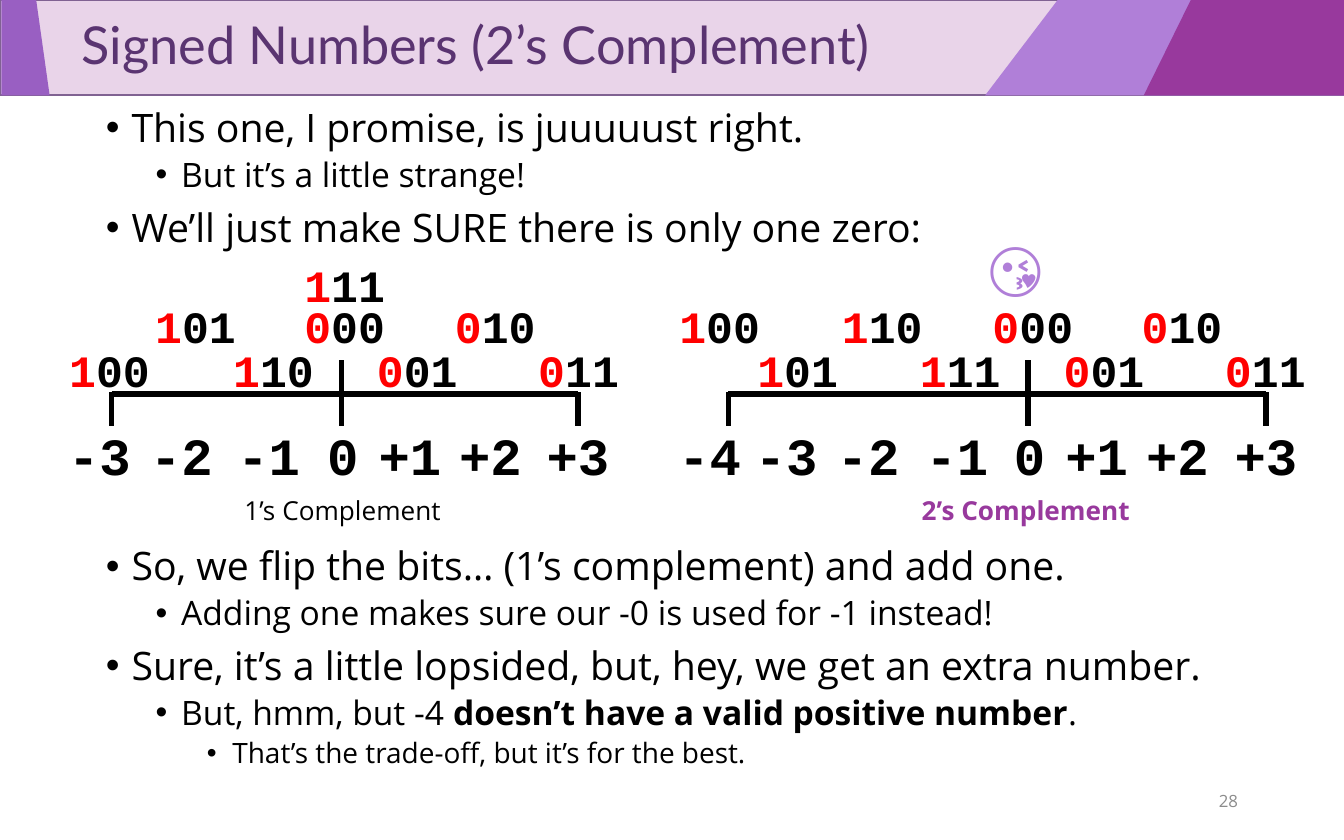
"""Build the slide about signed numbers in two's complement."""
from lxml import etree
from pptx import Presentation
from pptx.dml.color import RGBColor
from pptx.enum.shapes import MSO_CONNECTOR, MSO_SHAPE
from pptx.enum.text import MSO_ANCHOR, PP_ALIGN
from pptx.oxml.ns import qn
from pptx.util import Pt

PX = 9144
LEFT, CENTER, RIGHT = PP_ALIGN.LEFT, PP_ALIGN.CENTER, PP_ALIGN.RIGHT
TOP, MIDDLE = MSO_ANCHOR.TOP, MSO_ANCHOR.MIDDLE
STRAIGHT, RECTANGLE = MSO_CONNECTOR.STRAIGHT, MSO_SHAPE.RECTANGLE

BLACK = RGBColor(0x00, 0x00, 0x00)
RED = RGBColor(0xFF, 0x00, 0x00)
GRAY = RGBColor(0x8C, 0x8C, 0x8C)
PALE = RGBColor(0xE9, 0xD4, 0xE9)
OUTLINE = RGBColor(0x80, 0x62, 0x92)
LILAC = RGBColor(0xB0, 0x7F, 0xD8)
VIOLET = RGBColor(0x99, 0x5F, 0xC2)
PURPLE = RGBColor(0x98, 0x39, 0x9D)
TITLE_COLOR = RGBColor(0x5A, 0x34, 0x71)

SANS, MONO, HEADING = "Open Sans", "Courier New", "Lato"

BANDS = [
    (LILAC, [(787, 0), (1000, 0), (1000, 71), (733, 71)]),
    (VIOLET, [(1, 0), (27, 0), (37, 71), (1, 71)]),
    (PURPLE, [(886, 0), (1000, 0), (1000, 71), (851, 71)]),
]

LEVELS = [(21, 7.5, 19), (18, 3.8, 56), (15, 3.8, 94)]
BULLET_HANG = 19
BODY = [
    (76, 130, [
        (0, [("This one, I promise, is juuuuust right.", False)]),
        (1, [("But it’s a little strange!", False)]),
        (0, [("We’ll just make SURE there is only one zero:", False)]),
    ]),
    (402, 216, [
        (0, [("So, we flip the bits… (1’s complement) and add one.", False)]),
        (1, [("Adding one makes sure our -0 is used for -1 instead!", False)]),
        (0, [("Sure, it’s a little lopsided, but, hey, we get an extra number.", False)]),
        (1, [("But, hmm, but -4 ", False),
             ("doesn’t have a valid positive number", True), (".", False)]),
        (2, [("That’s the trade-off, but it’s for the best.", False)]),
    ]),
]

BITS_SIZE, VALUE_SIZE = (117, 50), (68, 57)
ROWS = (250, 217)
VALUE_TOP = 310
NUMBER_LINES = [
    {"axis": (83, 254, 430), "first_row": 0, "marks": [
        ("100", 23, "-3", 40), ("101", 87, "-2", 101), ("110", 145, "-1", 166),
        ("000", 198, "0", 221), ("001", 252, "+1", 271), ("010", 310, "+2", 331),
        ("011", 372, "+3", 396)]},
    {"axis": (542, 765, 942), "first_row": 1, "marks": [
        ("100", 477, "-4", 494), ("101", 535, "-3", 551), ("110", 598, "-2", 612),
        ("111", 656, "-1", 678), ("000", 710, "0", 732), ("001", 763, "+1", 782),
        ("010", 821, "+2", 842), ("011", 883, "+3", 908)]},
]
NEGATIVE_ZERO = ("111", 198, 187)

LABELS = [
    ("1’s Complement", (172, 363, 168, 34), 14, BLACK, False, LEFT, TOP),
    ("2’s Complement", (676, 363, 177, 34), 14, PURPLE, True, LEFT, TOP),
    ("😘", (726, 166, 82, 64), 32, LILAC, False, LEFT, TOP),
    ("28", (706, 579, 225, 33), 9, GRAY, False, RIGHT, MIDDLE),
]


def add_box(slide, place, anchor=TOP, wrap=False):
    box = slide.shapes.add_textbox(*(length * PX for length in place))
    box.text_frame.word_wrap = wrap
    box.text_frame.vertical_anchor = anchor
    return box.text_frame


def add_run(paragraph, text, size, color, bold=False, font=SANS):
    run = paragraph.add_run()
    run.text = text
    run.font.name = font
    run.font.size = Pt(size)
    run.font.bold = bold
    run.font.color.rgb = color


def indent(paragraph, margin, hang=0):
    properties = paragraph._p.get_or_add_pPr()
    properties.set("marL", str(margin * PX))
    properties.set("indent", str(-hang * PX))
    return properties


def add_line(slide, x1, y1, x2, y2):
    line = slide.shapes.add_connector(STRAIGHT, x1 * PX, y1 * PX, x2 * PX, y2 * PX)
    line.line.color.rgb = BLACK
    line.line.width = Pt(3)
    etree.SubElement(line._element.spPr, qn("a:effectLst"))


def add_header(slide):
    banner = slide.shapes.add_shape(RECTANGLE, 0, 0, 1000 * PX, 71 * PX)
    banner.shadow.inherit = False
    banner.fill.solid()
    banner.fill.fore_color.rgb = PALE
    banner.line.color.rgb = OUTLINE
    banner.line.width = Pt(1)
    for color, points in BANDS:
        builder = slide.shapes.build_freeform(*points[0], scale=PX)
        builder.add_line_segments(points[1:], close=True)
        band = builder.convert_to_shape()
        band.shadow.inherit = False
        band.fill.solid()
        band.fill.fore_color.rgb = color
        band.line.fill.background()
    title = add_box(slide, (1, 0, 999, 71), MIDDLE, True).paragraphs[0]
    title.line_spacing = 0.9
    indent(title, 50)
    add_run(title, "Signed Numbers (2’s Complement)", 28, TITLE_COLOR, font=HEADING)


def add_body(slide):
    for top, height, items in BODY:
        frame = add_box(slide, (69, top, 862, height), wrap=True)
        for index, (level, runs) in enumerate(items):
            paragraph = frame.add_paragraph() if index else frame.paragraphs[0]
            size, space, margin = LEVELS[level]
            paragraph.level = level
            paragraph.line_spacing = 0.9
            paragraph.space_before = Pt(space)
            properties = indent(paragraph, margin, BULLET_HANG)
            etree.SubElement(properties, qn("a:buFont")).set("typeface", "Arial")
            etree.SubElement(properties, qn("a:buChar")).set("char", "•")
            for text, bold in runs:
                add_run(paragraph, text, size, BLACK, bold)


def add_bits(slide, bits, left, top):
    paragraph = add_box(slide, (left, top, *BITS_SIZE)).paragraphs[0]
    paragraph.alignment = CENTER
    add_run(paragraph, bits[0], 24, RED, True, MONO)
    add_run(paragraph, bits[1:], 24, BLACK, True, MONO)


def add_number_line(slide, axis, first_row, marks):
    start, zero, end = axis
    add_line(slide, start, 293, end, 293)
    for x, top in ((start, 292), (zero, 268), (end, 292)):
        add_line(slide, x, top, x, 317)
    for index, (bits, bits_left, value, value_left) in enumerate(marks):
        add_bits(slide, bits, bits_left, ROWS[(index + first_row) % 2])
        paragraph = add_box(slide, (value_left, VALUE_TOP, *VALUE_SIZE)).paragraphs[0]
        paragraph.alignment = CENTER
        add_run(paragraph, value, 28, BLACK, True, MONO)


def main():
    presentation = Presentation()
    presentation.slide_width, presentation.slide_height = 1000 * PX, 625 * PX
    slide = presentation.slides.add_slide(presentation.slide_layouts[6])
    add_header(slide)
    add_body(slide)
    for number_line in NUMBER_LINES:
        add_number_line(slide, **number_line)
    add_bits(slide, *NEGATIVE_ZERO)
    for text, place, size, color, bold, alignment, anchor in LABELS:
        paragraph = add_box(slide, place, anchor, alignment == RIGHT).paragraphs[0]
        paragraph.alignment = alignment
        add_run(paragraph, text, size, color, bold)
    presentation.save("out.pptx")


if __name__ == "__main__":
    main()
